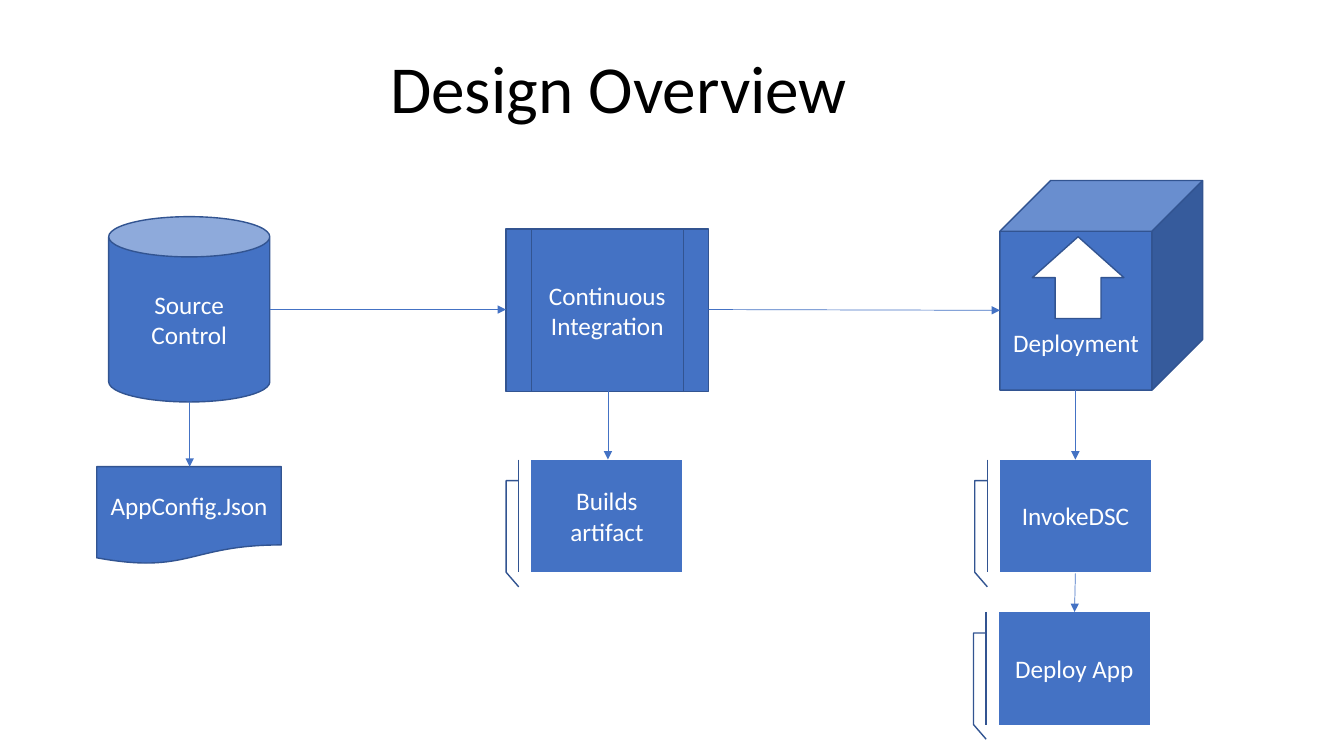
from dataclasses import dataclass

from lxml import etree
from pptx import Presentation
from pptx.dml.color import RGBColor
from pptx.enum import shapes, text
from pptx.oxml import ns
from pptx.util import Cm, Pt


@dataclass
class Theme:
    font: str = "Calibri"
    ink: RGBColor = RGBColor(0, 0, 0)
    white: RGBColor = RGBColor(255, 255, 255)
    blue: RGBColor = RGBColor(0x44, 0x72, 0xC4)
    outline: RGBColor = RGBColor(0x32, 0x54, 0x91)
    title_size: Pt = Pt(48)
    label_size: Pt = Pt(18)
    outline_width: Pt = Pt(1)
    arrow_width: Pt = Pt(0.5)


theme = Theme()
kinds = shapes.MSO_SHAPE


def add_span(para, words, size, color):
    span = para.add_run()
    span.text = words
    span.font.name = theme.font
    span.font.size = size
    span.font.color.rgb = color


def add_box(page, kind, left, top, width, height, fill):
    box = page.shapes.add_shape(kind, Cm(left), Cm(top), Cm(width), Cm(height))
    box.shadow.inherit = False
    box.fill.solid()
    box.fill.fore_color.rgb = fill
    box.line.color.rgb = theme.outline
    box.line.width = theme.outline_width
    return box


deck = Presentation()
deck.slide_width, deck.slide_height = Cm(33.87), Cm(19.05)
page = deck.slides.add_slide(deck.slide_layouts[5])

# Title
title = page.shapes.title
title.left, title.top, title.width, title.height = Cm(9.58), Cm(1.19), Cm(13.74), Cm(2.26)
frame = title.text_frame
frame.word_wrap = True
frame.auto_size = text.MSO_AUTO_SIZE.NONE
frame.vertical_anchor = text.MSO_ANCHOR.MIDDLE
para = frame.paragraphs[0]
para.alignment = text.PP_ALIGN.LEFT
para.line_spacing = 0.9
add_span(para, "Design Overview", theme.title_size, theme.ink)

# Pipeline stages and their outputs
callout = kinds.LINE_CALLOUT_3_ACCENT_BAR
callout_size = (3.81, 2.84)
stages = [
    ("Source Control", kinds.CAN, 2.74, 5.46, 4.06, 4.67),
    ("AppConfig.Json", kinds.FLOWCHART_DOCUMENT, 2.44, 11.76, 4.65, 2.46),
    ("Continuous Integration", kinds.FLOWCHART_PREDEFINED_PROCESS, 12.75, 5.77, 5.11, 4.09),
    ("Builds artifact", callout, 13.39, 11.58, *callout_size),
    ("Deployment", kinds.CUBE, 25.2, 4.55, 5.11, 5.28),
    ("InvokeDSC", callout, 25.2, 11.58, *callout_size),
    ("Deploy App", callout, 25.17, 15.42, *callout_size),
]
for label, kind, *place in stages:
    box = add_box(page, kind, *place, theme.blue)
    frame = box.text_frame
    frame.word_wrap = True
    frame.vertical_anchor = text.MSO_ANCHOR.MIDDLE
    if kind == kinds.CUBE:  # label sits below the upload arrow
        frame.vertical_anchor = text.MSO_ANCHOR.BOTTOM
        frame.margin_bottom = Cm(0.81)
    para = frame.paragraphs[0]
    para.alignment = text.PP_ALIGN.CENTER
    add_span(para, label, theme.label_size, theme.white)

# Upload arrow on the deployment cube
upload = add_box(page, kinds.RIGHT_ARROW, 26.14, 5.84, 2.06, 2.31, theme.white)
upload.rotation = 270

# Flow arrows: start x, start y, end x, end y
flows = [
    (6.81, 7.8, 12.75, 7.8),
    (17.86, 7.8, 25.2, 7.82),
    (4.78, 10.13, 4.78, 11.76),
    (15.32, 9.83, 15.32, 11.58),
    (27.1, 9.83, 27.1, 11.58),
    (27.1, 14.45, 27.08, 15.42),
]
for flow in flows:
    arrow = page.shapes.add_connector(shapes.MSO_CONNECTOR.STRAIGHT, *map(Cm, flow))
    arrow.line.color.rgb = theme.blue
    arrow.line.width = theme.arrow_width
    etree.SubElement(arrow.line._get_or_add_ln(), ns.qn("a:tailEnd"), type="triangle")
    etree.SubElement(arrow._element.spPr, ns.qn("a:effectLst"))

deck.save("out.pptx")
